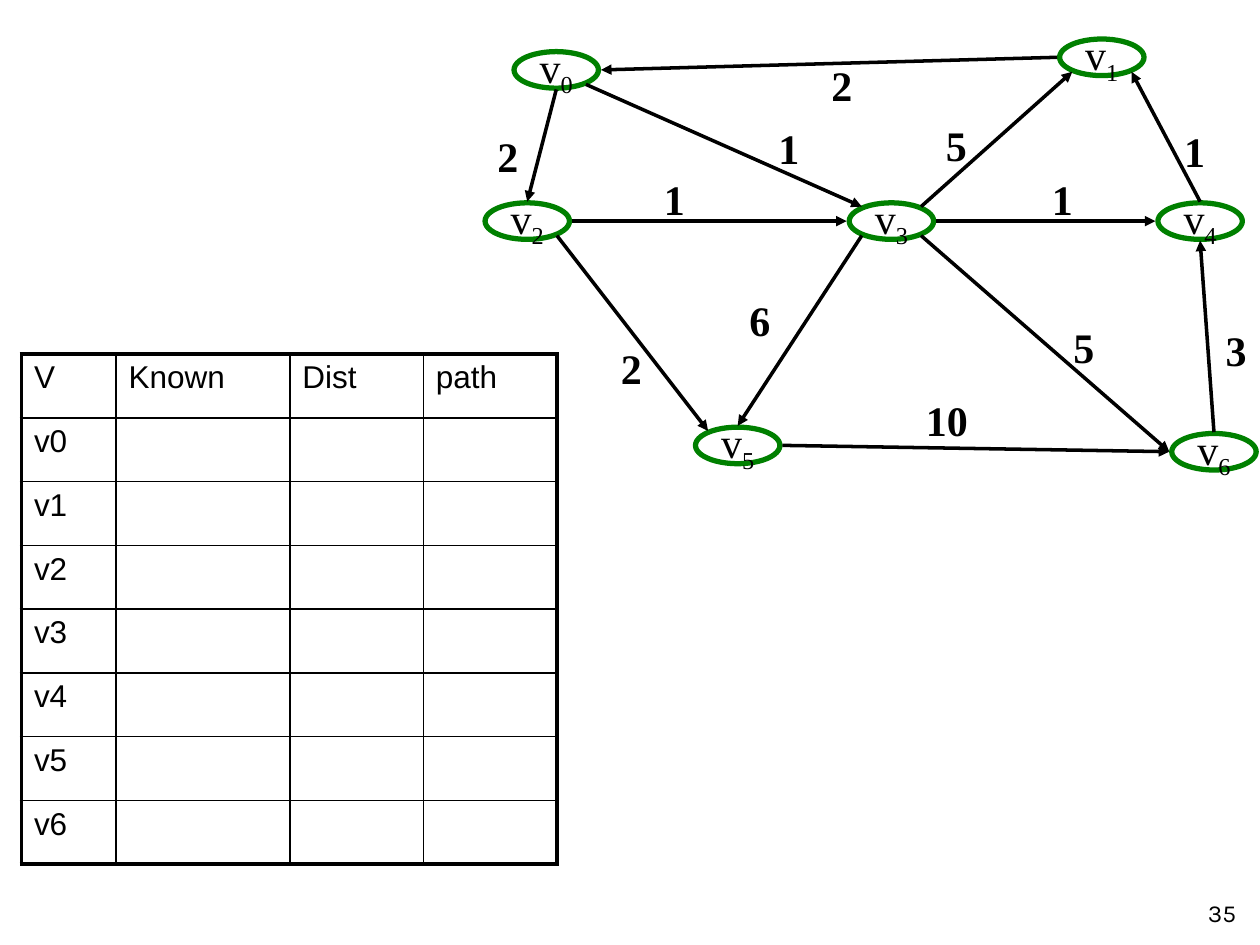
from pptx import Presentation
from pptx import util as u
from pptx.dml.color import RGBColor
from pptx.enum import shapes, text
from pptx.oxml.ns import qn
from lxml import etree

BLACK = RGBColor(0, 0, 0)
WHITE = RGBColor(255, 255, 255)
GREEN = RGBColor(0, 128, 0)

COLUMNS, ROWS = 1000, 750
NODE_SIZE = (67, 29)
PORTS = {
    "top": (0, -15.5), "bottom": (0, 15.5),
    "left": (-35.5, 0), "right": (35.5, 0),
    "top left": (-23.5, -11.5), "top right": (23.5, -11.5),
    "bottom left": (-23.5, 11.5), "bottom right": (23.5, 11.5),
}

NODES = {
    0: (441.5, 55.5), 1: (874.5, 45.5), 2: (418.5, 175.5), 3: (707.5, 175.5),
    4: (952.5, 175.5), 5: (585.5, 353.5), 6: (963.5, 358.5),
}

EDGES = [
    (0, "bottom right", 3, "top left", "1", (608, 92)),
    (0, "bottom", 2, "top", "2", (385, 99)),
    (1, "left", 0, "right", "2", (650, 42)),
    (2, "right", 3, "left", "1", (517, 133)),
    (2, "bottom right", 5, "top left", "2", (483, 267)),
    (3, "top right", 1, "bottom left", "5", (741, 90)),
    (3, "right", 4, "left", "1", (825, 133)),
    (3, "bottom left", 5, "top", "6", (585, 229)),
    (3, "bottom right", 6, "left", "5", (842, 250)),
    (4, "top", 1, "bottom right", "1", (930, 95)),
    (5, "right", 6, "left", "10", (725, 308)),
    (6, "top", 4, "bottom", "3", (963, 253)),
]


class GraphPage:
    serif, sans, number_font = "Times New Roman", "Arial", "Karla"
    graph_size, table_size, number_size = 24, 18, 14
    thick, thin = 2.25, 1

    def __init__(self, deck):
        self.deck = deck
        self.page = deck.slides.add_slide(deck.slide_layouts[6])

    def x(self, columns):
        return round(self.deck.slide_width * columns / COLUMNS)

    def y(self, rows):
        return round(self.deck.slide_height * rows / ROWS)

    def area(self, left, top, width, height):
        return self.x(left), self.y(top), self.x(width), self.y(height)

    def style(self, para, name, size, align, bold=False):
        para.alignment = align
        para.font.name = name
        para.font.size = u.Pt(size)
        para.font.bold = bold
        para.font.color.rgb = BLACK

    def node(self, index, center):
        width, height = NODE_SIZE
        oval = self.page.shapes.add_shape(
            shapes.MSO_SHAPE.OVAL,
            *self.area(center[0] - width / 2, center[1] - height / 2, width, height))
        oval.shadow.inherit = False
        oval.fill.background()
        oval.line.color.rgb = GREEN
        oval.line.width = u.Pt(3)
        frame = oval.text_frame
        frame.word_wrap = False
        frame.vertical_anchor = text.MSO_ANCHOR.MIDDLE
        para = frame.paragraphs[0]
        para.add_run().text = "v"
        subscript = para.add_run()
        subscript.text = str(index)
        subscript.font._element.set("baseline", "-25000")
        self.style(para, self.serif, self.graph_size, text.PP_ALIGN.CENTER)

    def port(self, index, side):
        (column, row), (right, down) = NODES[index], PORTS[side]
        return self.x(column + right), self.y(row + down)

    def arrow(self, source, source_side, target, target_side):
        line = self.page.shapes.add_connector(
            shapes.MSO_CONNECTOR.STRAIGHT,
            *self.port(source, source_side), *self.port(target, target_side))
        line.line.color.rgb = BLACK
        line.line.width = u.Pt(2)
        etree.SubElement(line.line._get_or_add_ln(), qn("a:tailEnd"), type="triangle")
        etree.SubElement(line._element.spPr, qn("a:effectLst"))

    def label(self, words, area, name, size, align, bold=False, wrap=False):
        box = self.page.shapes.add_textbox(*self.area(*area))
        box.text_frame.word_wrap = wrap
        para = box.text_frame.paragraphs[0]
        para.text = words
        self.style(para, name, size, align, bold)

    def weight(self, words, corner):
        width = 37 if len(words) == 1 else 53
        self.label(words, (*corner, width, 50), self.serif, self.graph_size,
                   text.PP_ALIGN.LEFT, bold=True)

    def number(self, words):
        self.label(words, (783, 708, 208, 37), self.number_font, self.number_size,
                   text.PP_ALIGN.RIGHT, wrap=True)

    def border(self, cell, side, width):
        line = etree.SubElement(cell._tc.get_or_add_tcPr(), qn(f"a:ln{side}"),
                                w=str(u.Pt(width)))
        fill = etree.SubElement(line, qn("a:solidFill"))
        etree.SubElement(fill, qn("a:srgbClr"), val=str(BLACK))

    def table(self, rows, left, top, widths, row_height):
        last_row, last_column = len(rows) - 1, len(widths) - 1
        table = self.page.shapes.add_table(
            len(rows), len(widths),
            *self.area(left, top, sum(widths), row_height * len(rows))).table
        table.first_row = table.horz_banding = False
        for column, width in zip(table.columns, widths):
            column.width = self.x(width)
        for r, words in enumerate(rows):
            table.rows[r].height = self.y(row_height)
            for c, word in enumerate(words):
                cell = table.cell(r, c)
                outer = {"L": c == 0, "R": c == last_column,
                         "T": r == 0, "B": r == last_row}
                for side, is_outer in outer.items():
                    self.border(cell, side, self.thick if is_outer else self.thin)
                cell.fill.solid()
                cell.fill.fore_color.rgb = WHITE
                para = cell.text_frame.paragraphs[0]
                para.text = word
                self.style(para, self.sans, self.table_size, text.PP_ALIGN.JUSTIFY)


def main():
    deck = Presentation()
    deck.slide_width, deck.slide_height = u.Inches(10), u.Inches(7.5)
    page = GraphPage(deck)
    page.number("35")
    for index, center in NODES.items():
        page.node(index, center)
    for *ends, weight, corner in EDGES:
        page.arrow(*ends)
        page.weight(weight, corner)
    header = ["V", "Known", "Dist", "path"]
    body = [[f"v{index}", "", "", ""] for index in NODES]
    page.table([header, *body], 17, 281, [75, 138, 106, 106], 50.6)
    deck.save("out.pptx")


if __name__ == "__main__":
    main()
